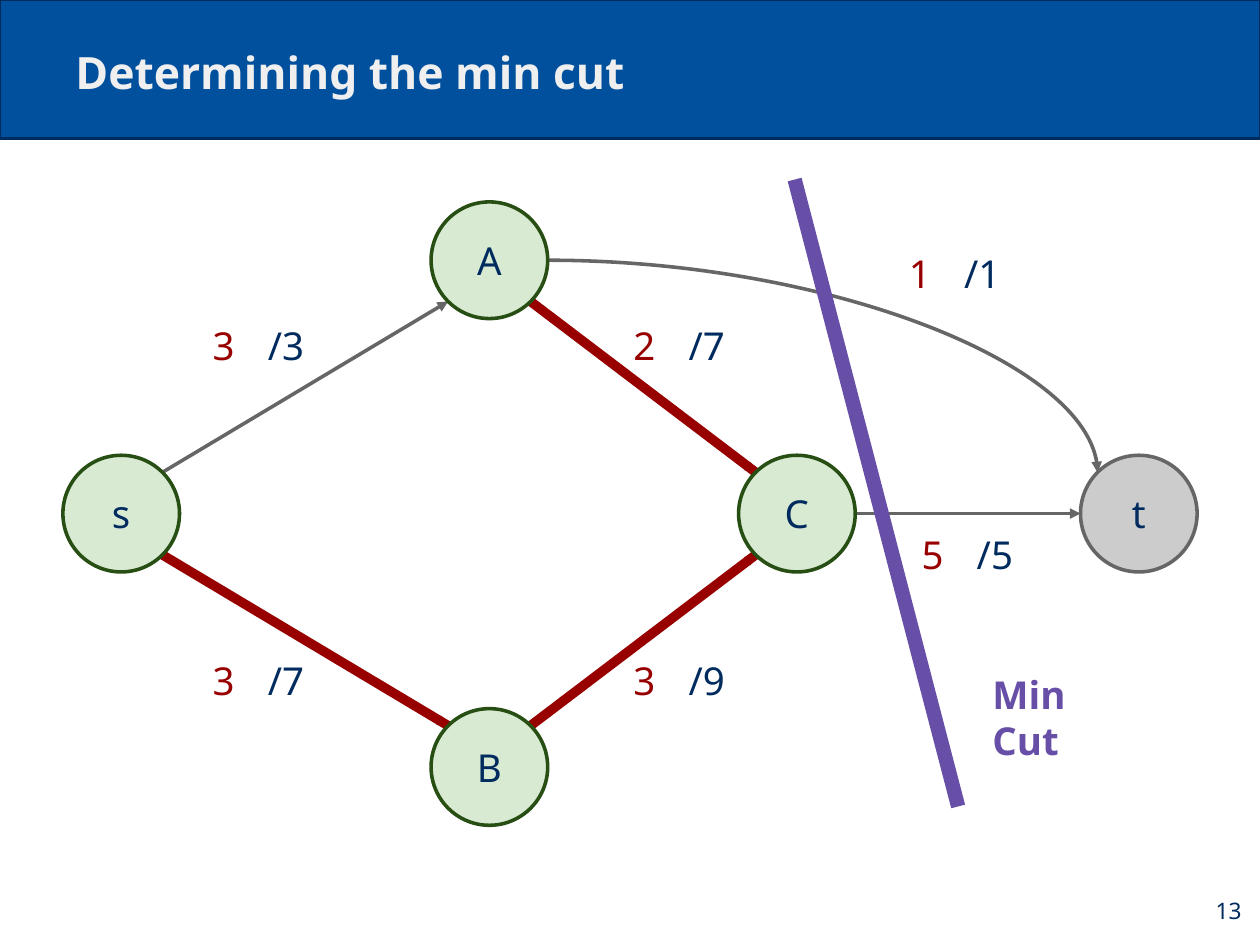
from math import copysign, sqrt

from pptx import Presentation
from pptx.dml.color import RGBColor
from pptx.enum.shapes import MSO_CONNECTOR as Link, MSO_SHAPE as Shape
from pptx.enum.text import MSO_ANCHOR as Anchor, MSO_AUTO_SIZE as Fit, PP_ALIGN as Align
from pptx.oxml.ns import qn
from pptx.util import Inches, Pt

WIDE, HIGH = 11.02, 8.27
BLUE = RGBColor(0x01, 0x50, 0x9E)
NAVY = RGBColor(0x00, 0x2B, 0x5E)
PALE = RGBColor(0xEF, 0xEF, 0xEF)
GRAY = RGBColor(0x66, 0x66, 0x66)
SILVER = RGBColor(0xCC, 0xCC, 0xCC)
RED = RGBColor(0x98, 0x00, 0x00)
PURPLE = RGBColor(0x67, 0x4E, 0xA7)
GREEN = RGBColor(0x27, 0x4E, 0x13)
MINT = RGBColor(0xD9, 0xEA, 0xD3)

SIZE = 24.2
EDGE = 2.25
SIDE = 1.02
R = SIDE / 2
MID, STEP = 4.49, 2.215
# Node name: centre column, row above or below the middle
NODES = {"s": (1.06, 0), "B": (4.28, 1), "A": (4.28, -1), "C": (6.97, 0), "t": (9.96, 0)}
PLAIN = ["sA", "sB", "BC", "AC", "Ct"]
SPARE = ["sB", "AC", "BC"]
LEFT, RIGHT, UPPER, LOWER = 1.75, 5.43, 2.78, 5.71
# Flow, capacity, left, top
FLOWS = [
    ("3", "/3", LEFT, UPPER), ("3", "/7", LEFT, LOWER),
    ("2", "/7", RIGHT, UPPER), ("3", "/9", RIGHT, LOWER),
    ("5", "/5", 7.95, 4.6), ("1", "/1", 7.84, 2.15),
]


def inches(*nums):
    return [Inches(n) for n in nums]


def write(shape, text, align=Align.LEFT, color=NAVY, size=SIZE, bold=False, anchor=Anchor.MIDDLE):
    frame = shape.text_frame
    pads = {"margin_" + side: Inches(0.11) for side in ("left", "top", "right", "bottom")}
    look = {"word_wrap": True, "auto_size": Fit.NONE, "vertical_anchor": anchor, **pads}
    for key, value in look.items():
        setattr(frame, key, value)
    para = frame.paragraphs[0]
    para.alignment = align
    run = para.add_run()
    run.text = text
    for key, value in {"name": "Noto Sans", "size": Pt(size), "bold": bold}.items():
        setattr(run.font, key, value)
    run.font.color.rgb = color


def label(shapes, box, text, **look):
    write(shapes.add_textbox(*inches(*box)), text, **look)


def solid(shapes, kind, box, fill, line, width):
    shape = shapes.add_shape(kind, *inches(*box))
    shape.shadow.inherit = False
    shape.fill.solid()
    shape.fill.fore_color.rgb = fill
    shape.line.color.rgb = line
    shape.line.width = Pt(width)
    return shape


def stroke(shapes, start, end, color, width, arrow=False, kind=Link.STRAIGHT):
    link = shapes.add_connector(kind, *inches(*start, *end))
    link.line.color.rgb = color
    link.line.width = Pt(width)
    props = link._element.spPr
    if arrow:
        tail = link.line._get_or_add_ln()
        tail.append(tail.makeelement(qn("a:tailEnd"), {"type": "triangle"}))
    props.append(props.makeelement(qn("a:effectLst"), {}))
    return link


def rim(name, right, down):
    """Point on a node's circle in the direction given by two signs."""
    col, row = NODES[name]
    reach = R / sqrt(right ** 2 + down ** 2)
    return col + right * reach, MID + row * STEP + down * reach


def edge(shapes, pair, *look):
    start, end = pair
    down = NODES[end][1] - NODES[start][1]
    down = copysign(1, down) if down else 0
    stroke(shapes, rim(start, 1, down), rim(end, -1, -down), *look)


def node(shapes, name):
    col, row = NODES[name]
    fill, line = (SILVER, GRAY) if name == "t" else (MINT, GREEN)
    box = col - R, MID + row * STEP - R, SIDE, SIDE
    write(solid(shapes, Shape.OVAL, box, fill, line, EDGE), name, Align.CENTER)


def header(slide, text):
    title = slide.shapes.title
    band = solid(slide.shapes, Shape.RECTANGLE, (0, 0, WIDE, 1.21), BLUE, NAVY, 1.5)
    title._element.addprevious(band._element)
    spots = ("left", "top", "width", "height")
    for key, value in zip(spots, inches(0.55, 0.24, 9.92, 0.73)):
        setattr(title, key, value)
    write(title, text, color=PALE, size=28, bold=True, anchor=Anchor.BOTTOM)


def main():
    deck = Presentation()
    deck.slide_width, deck.slide_height = inches(WIDE, HIGH)
    slide = deck.slides.add_slide(deck.slide_layouts[5])
    shapes = slide.shapes
    header(slide, "Determining the min cut")

    for pair in PLAIN:
        edge(shapes, pair, GRAY, EDGE, True)
    curve = stroke(shapes, rim("A", 1, 0), rim("t", -1, -1), GRAY, EDGE, True, Link.CURVE)
    curve._element.spPr.find(qn("a:prstGeom")).set("prst", "curvedConnector2")
    for pair in SPARE:
        edge(shapes, pair, RED, 6)
    for flow, cap, left, top in FLOWS:
        box = left, top, SIDE, 0.48
        label(shapes, box, cap, align=Align.RIGHT)
        label(shapes, box, flow, color=RED)

    cut = shapes.add_group_shape().shapes
    stroke(cut, (6.95, 1.57), (8.38, 7.05), PURPLE, 9)
    label(cut, (8.57, 5.83, SIDE, 0.88), "Min Cut", color=PURPLE, bold=True)

    for name in NODES:
        node(shapes, name)
    label(shapes, (10.31, 7.64, 0.66, 0.63), "13", align=Align.RIGHT, size=14.3)
    deck.save("out.pptx")


if __name__ == "__main__":
    main()
